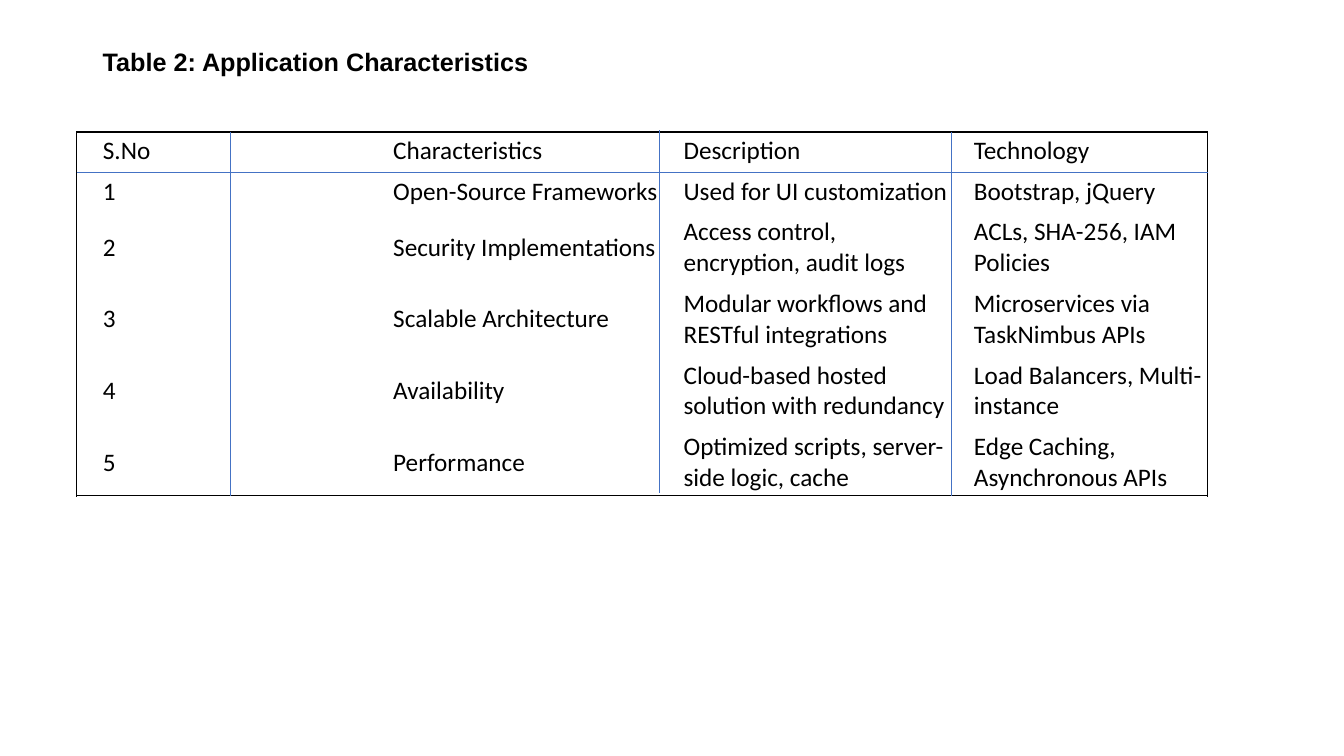
from lxml import etree
from pptx import Presentation
from pptx import util as u
from pptx.dml.color import RGBColor
from pptx.enum import shapes, text
from pptx.oxml import ns

COLORS = {"ink": "000000", "rule": "4472C4"}
BODY = {"name": "Calibri", "size": u.Pt(18), "bold": False}
TITLE = {"name": "Arial", "size": u.Pt(18), "bold": True}

ROWS = [
    ("S.No", "Characteristics", "Description", "Technology"),
    ("1", "Open-Source Frameworks", "Used for UI customization", "Bootstrap, jQuery"),
    ("2", "Security Implementations", "Access control, encryption, audit logs",
     "ACLs, SHA-256, IAM Policies"),
    ("3", "Scalable Architecture", "Modular workflows and RESTful integrations",
     "Microservices via TaskNimbus APIs"),
    ("4", "Availability", "Cloud-based hosted solution with redundancy",
     "Load Balancers, Multi-instance"),
    ("5", "Performance", "Optimized scripts, server-side logic, cache",
     "Edge Caching, Asynchronous APIs"),
]
ROW_HEIGHTS = [0.4, 0.4] + [0.71] * 4


def write(para, words, style):
    span = para.add_run()
    span.text = words
    for name, value in style.items():
        setattr(span.font, name, value)
    span.font.color.rgb = RGBColor.from_string(COLORS["ink"])


def add_plain_table(page, rows, columns, left, top, width, height):
    table = page.shapes.add_table(rows, columns, u.Inches(left), u.Inches(top),
                                  u.Inches(width), u.Inches(height)).table
    table.first_row = table.horz_banding = False
    for cell in table.iter_cells():
        cell.fill.background()
        cell.vertical_anchor = text.MSO_ANCHOR.MIDDLE
    return table


deck = Presentation()
deck.slide_width, deck.slide_height = u.Inches(13.33), u.Inches(7.5)
page = deck.slides.add_slide(deck.slide_layouts[6])

# Characteristics table
table = add_plain_table(page, len(ROWS), 4, 0.92, 1.29, 11.5, 3.6)
for column in table.columns:
    column.width = u.Inches(2.88)
for r, (words, height) in enumerate(zip(ROWS, ROW_HEIGHTS)):
    table.rows[r].height = u.Inches(height)
    for c, entry in enumerate(words):
        write(table.cell(r, c).text_frame.paragraphs[0], entry, BODY)

# Title
box = page.shapes.add_textbox(u.Inches(0.92), u.Inches(0.41), u.Inches(4.47), u.Inches(0.71))
box.text_frame.word_wrap = False
write(box.text_frame.paragraphs[0], "Table 2: Application Characteristics", TITLE)

# Outer frame: a one-cell table with black borders
LEFT, TOP, WIDTH, HEIGHT = 0.76, 1.31, 11.22, 3.61
frame = add_plain_table(page, 1, 1, LEFT, TOP, WIDTH, HEIGHT)
cell_format = frame.cell(0, 0)._tc.get_or_add_tcPr()
for place, side in enumerate(("a:lnL", "a:lnR", "a:lnT", "a:lnB")):
    border = etree.Element(ns.qn(side), w=str(u.Pt(1)))
    fill = etree.SubElement(border, ns.qn("a:solidFill"))
    etree.SubElement(fill, ns.qn("a:srgbClr"), val=COLORS["ink"])
    cell_format.insert(place, border)

# Dividers: three between columns, one under the header
RIGHT, BOTTOM = LEFT + WIDTH, TOP + HEIGHT
dividers = [
    (2.28, TOP, 2.28, BOTTOM),
    (6.54, 1.29, 6.54, 4.89),
    (9.44, TOP, 9.44, BOTTOM),
    (LEFT, 1.71, RIGHT, 1.71),
]
for ends in dividers:
    divider = page.shapes.add_connector(shapes.MSO_CONNECTOR.STRAIGHT, *map(u.Inches, ends))
    divider.line.color.rgb = RGBColor.from_string(COLORS["rule"])
    divider.line.width = u.Pt(0.5)
    etree.SubElement(divider._element.spPr, ns.qn("a:effectLst"))

deck.save("out.pptx")
